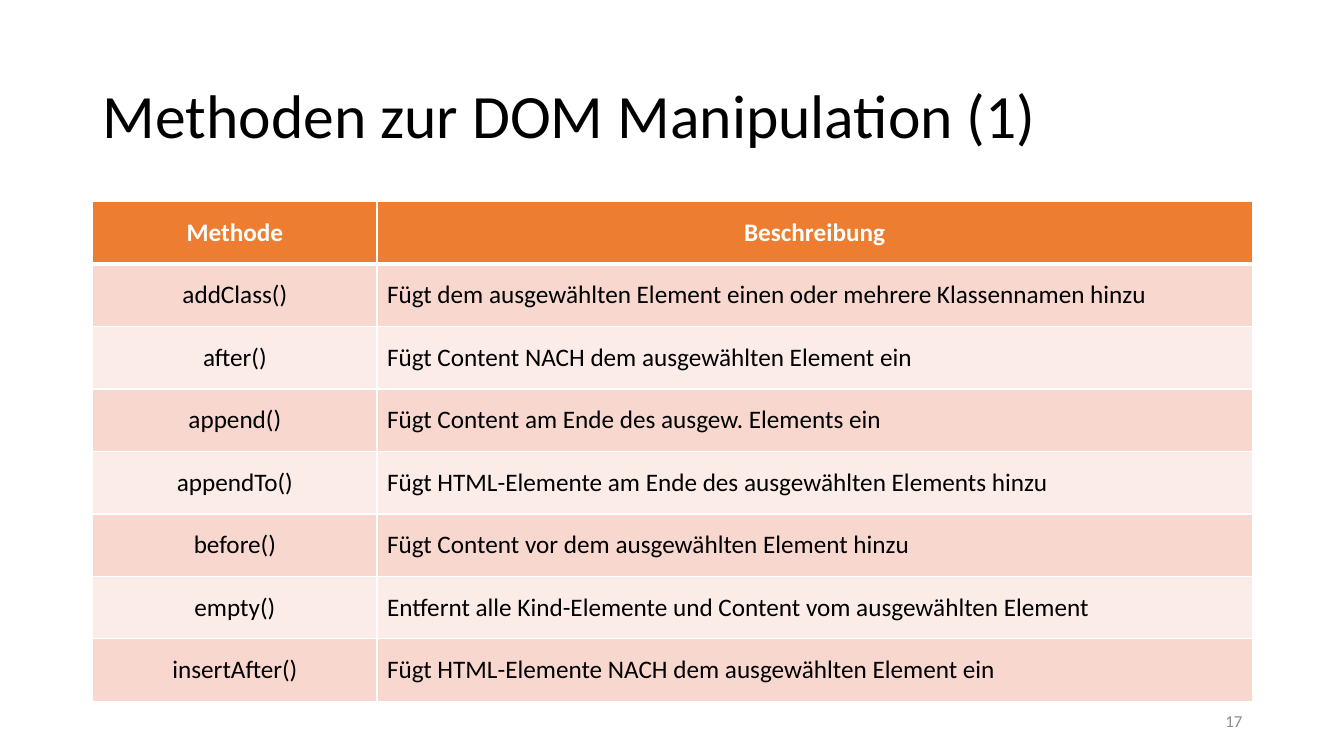
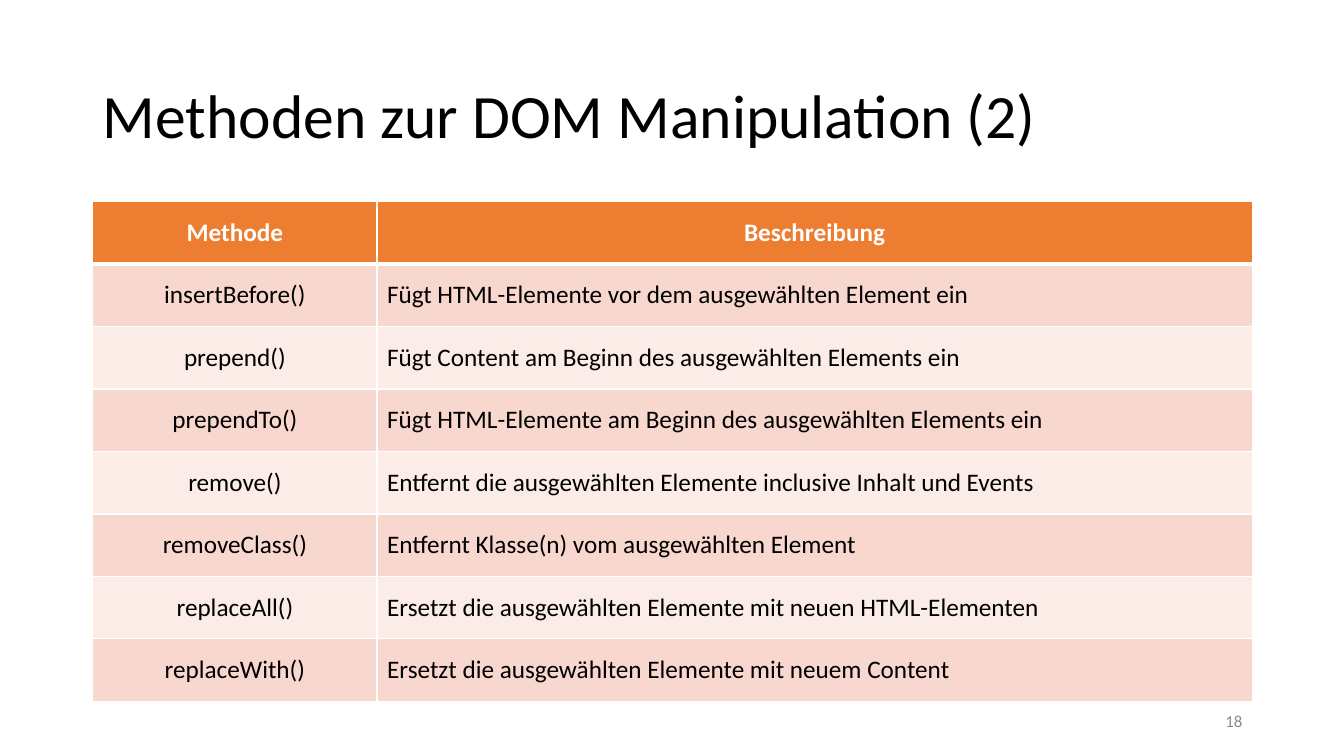
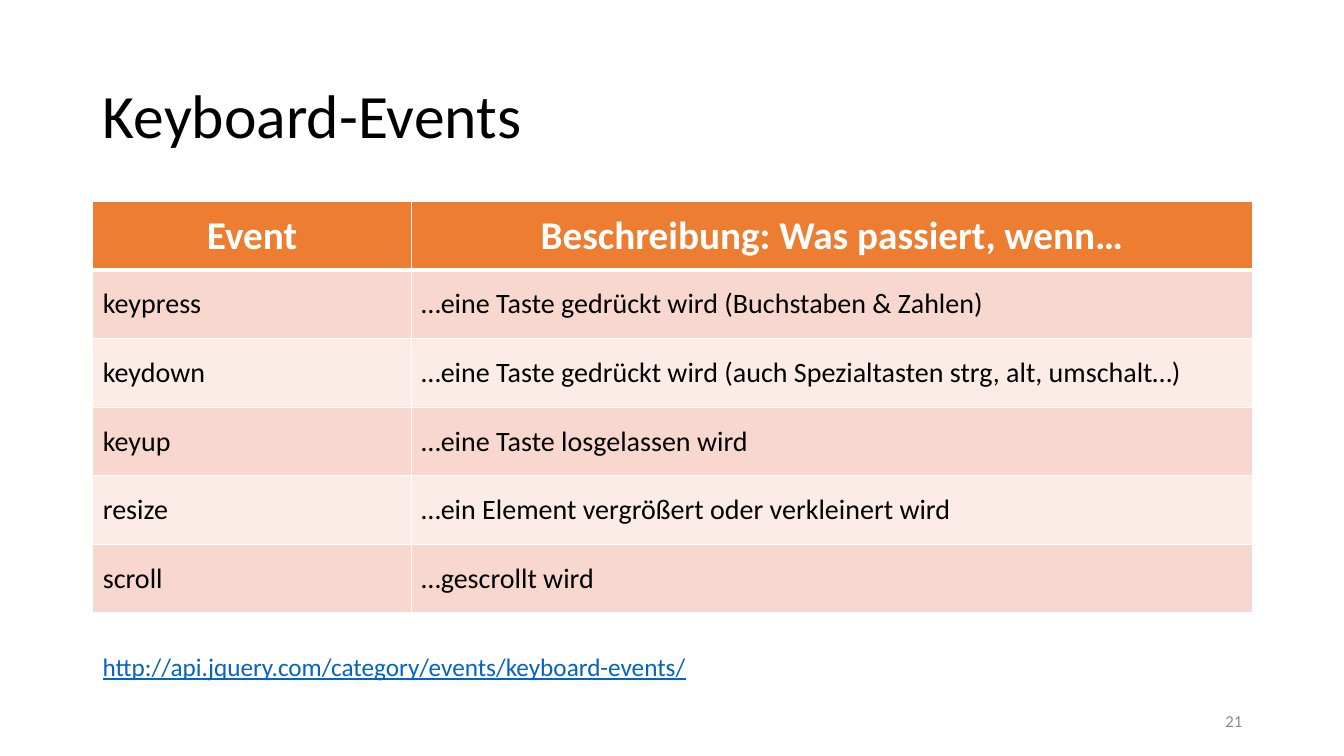
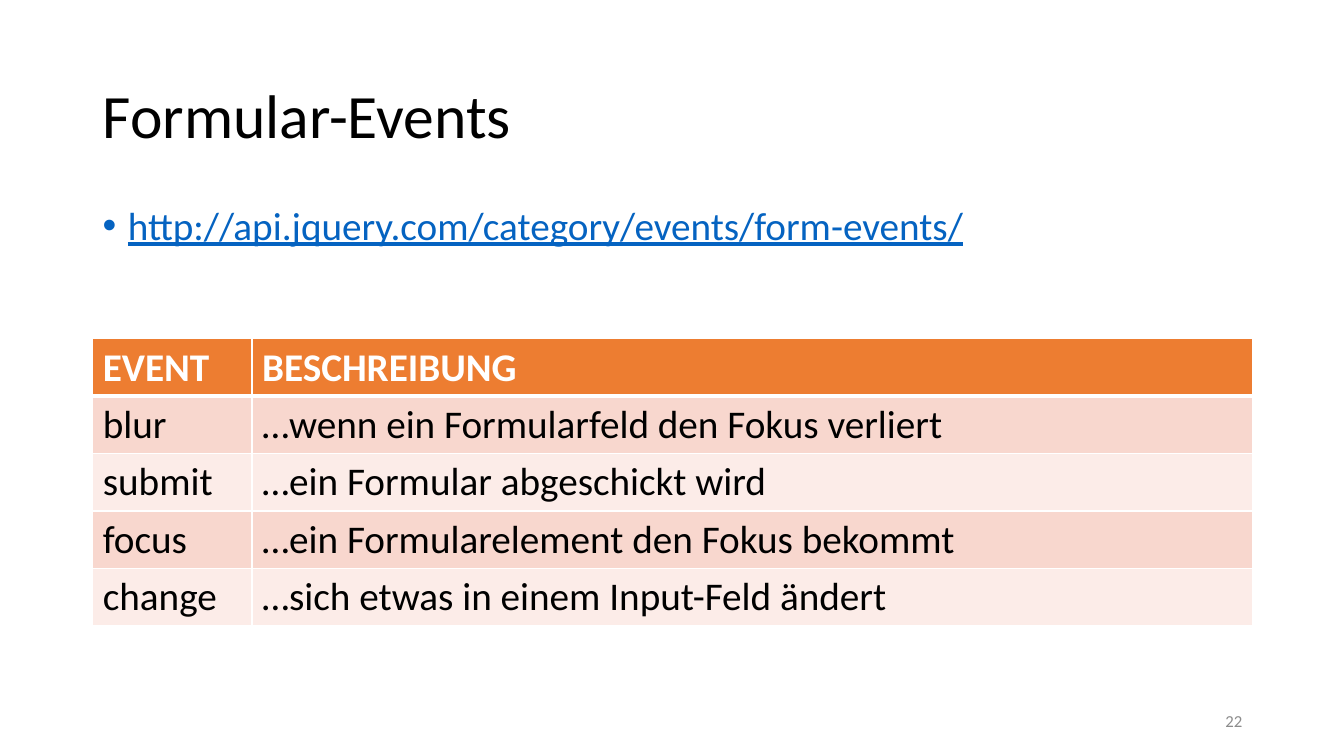
from lxml.etree import SubElement
from pptx import Presentation
from pptx.dml.color import RGBColor
from pptx.enum.text import MSO_ANCHOR as ANCHOR, PP_ALIGN as ALIGN
from pptx.oxml.ns import qn
from pptx.util import Inches, Pt

COLORS = {
    "text": "000000",
    "white": "FFFFFF",
    "header": "ED7D31",
    "band_dark": "F8D7CE",
    "band_light": "FCECE8",
    "link": "0563C1",
    "page_number": "8C8C8C",
}

DOM_METHODS_1 = [
    ("Methode", "Beschreibung"),
    ("addClass()", "Fügt dem ausgewählten Element einen oder mehrere Klassennamen hinzu"),
    ("after()", "Fügt Content NACH dem ausgewählten Element ein"),
    ("append()", "Fügt Content am Ende des ausgew. Elements ein"),
    ("appendTo()", "Fügt HTML-Elemente am Ende des ausgewählten Elements hinzu"),
    ("before()", "Fügt Content vor dem ausgewählten Element hinzu"),
    ("empty()", "Entfernt alle Kind-Elemente und Content vom ausgewählten Element"),
    ("insertAfter()", "Fügt HTML-Elemente NACH dem ausgewählten Element ein"),
]
DOM_METHODS_2 = [
    ("Methode", "Beschreibung"),
    ("insertBefore()", "Fügt HTML-Elemente vor dem ausgewählten Element ein"),
    ("prepend()", "Fügt Content am Beginn des ausgewählten Elements ein"),
    ("prependTo()", "Fügt HTML-Elemente am Beginn des ausgewählten Elements ein"),
    ("remove()", "Entfernt die ausgewählten Elemente inclusive Inhalt und Events"),
    ("removeClass()", "Entfernt Klasse(n) vom ausgewählten Element"),
    ("replaceAll()", "Ersetzt die ausgewählten Elemente mit neuen HTML-Elementen"),
    ("replaceWith()", "Ersetzt die ausgewählten Elemente mit neuem Content"),
]
KEYBOARD_EVENTS = [
    ("Event", "Beschreibung: Was passiert, wenn…"),
    ("keypress", "…eine Taste gedrückt wird (Buchstaben & Zahlen)"),
    ("keydown", "…eine Taste gedrückt wird (auch Spezialtasten strg, alt, umschalt…)"),
    ("keyup", "…eine Taste losgelassen wird"),
    ("resize", "…ein Element vergrößert oder verkleinert wird"),
    ("scroll", "…gescrollt wird"),
]
FORM_EVENTS = [
    ("EVENT", "BESCHREIBUNG"),
    ("blur", "…wenn ein Formularfeld den Fokus verliert"),
    ("submit", "…ein Formular abgeschickt wird"),
    ("focus", "…ein Formularelement den Fokus bekommt"),
    ("change", "…sich etwas in einem Input-Feld ändert"),
]


def color(name):
    return RGBColor.from_string(COLORS[name])


def set_borders(cell, **widths):
    """Draw white cell borders; widths are points by side: L, R, T, B."""
    properties = cell._tc.get_or_add_tcPr()
    for side in "LRTB":
        line = SubElement(properties, qn(f"a:ln{side}"), w=str(Pt(widths.get(side, 1))))
        fill = SubElement(line, qn("a:solidFill"))
        SubElement(fill, qn("a:srgbClr"), val=COLORS["white"])


class Deck:
    FONT = "Calibri"
    LEFT = 0.92
    WIDTH = 11.5
    BODY_TOP = 2

    def __init__(self):
        self.presentation = Presentation()
        self.presentation.slide_width = Inches(13.33)
        self.presentation.slide_height = Inches(7.5)
        self.slide = None

    def add_text(self, frame, text, size, color_name="text", align=ALIGN.LEFT,
                 bold=False, underline=False):
        paragraph = frame.paragraphs[0]
        paragraph.alignment = align
        run = paragraph.add_run()
        run.text = text
        font = run.font
        font.name, font.size = self.FONT, Pt(size)
        font.bold, font.underline = bold, underline
        font.color.rgb = color(color_name)
        return paragraph

    def text_box(self, left, top, width, height, anchor=ANCHOR.TOP):
        box = self.slide.shapes.add_textbox(
            Inches(left), Inches(top), Inches(width), Inches(height))
        frame = box.text_frame
        frame.word_wrap = True
        frame.vertical_anchor = anchor
        return frame

    def add_slide(self, title, number):
        self.slide = self.presentation.slides.add_slide(self.presentation.slide_layouts[5])
        shape = self.slide.shapes.title
        shape.left, shape.top = Inches(self.LEFT), Inches(0.5)
        shape.width, shape.height = Inches(self.WIDTH), Inches(1.35)
        shape.text_frame.vertical_anchor = ANCHOR.MIDDLE
        self.add_text(shape.text_frame, title, 44).line_spacing = 0.9
        page = self.text_box(9.42, 6.95, 3, 0.4, ANCHOR.MIDDLE)
        self.add_text(page, str(number), 12, "page_number", ALIGN.RIGHT)

    def web_address(self, text, top, width, height, size, bullet=False):
        frame = self.text_box(self.LEFT, top, width, height)
        paragraph = self.add_text(frame, text, size, "link", underline=True)
        if bullet:
            paragraph.line_spacing = 0.9
            properties = paragraph._p.get_or_add_pPr()
            properties.set("marL", str(Inches(0.25)))
            properties.set("indent", str(-Inches(0.25)))
            SubElement(properties, qn("a:buFont"), typeface="Arial")
            SubElement(properties, qn("a:buChar"), char="•")

    def table(self, rows, first_width, row_height, size, header_size=None,
              top=BODY_TOP, header_align=ALIGN.CENTER, name_align=ALIGN.LEFT):
        """Add a two-column table with a header row and banded body rows."""
        table = self.slide.shapes.add_table(
            len(rows), 2, Inches(self.LEFT), Inches(top),
            Inches(self.WIDTH), Inches(row_height * len(rows))).table
        table.columns[0].width = Inches(first_width)
        table.columns[1].width = Inches(self.WIDTH - first_width)
        for row_index, texts in enumerate(rows):
            is_header = row_index == 0
            band = "band_dark" if row_index % 2 else "band_light"
            for column_index, text in enumerate(texts):
                cell = table.cell(row_index, column_index)
                cell.vertical_anchor = ANCHOR.MIDDLE
                set_borders(cell, T=3 if row_index == 1 else 1, B=3 if is_header else 1)
                cell.fill.solid()
                cell.fill.fore_color.rgb = color("header" if is_header else band)
                if is_header:
                    self.add_text(cell.text_frame, text, header_size or size, "white",
                                  header_align, bold=True)
                else:
                    align = ALIGN.LEFT if column_index else name_align
                    self.add_text(cell.text_frame, text, size, align=align)


def main():
    deck = Deck()

    for part, rows in enumerate((DOM_METHODS_1, DOM_METHODS_2), start=1):
        deck.add_slide(f"Methoden zur DOM Manipulation ({part})", 16 + part)
        deck.table(rows, 2.82, 0.62, 18, name_align=ALIGN.CENTER)

    deck.add_slide("Keyboard-Events", 21)
    deck.table(KEYBOARD_EVENTS, 3.16, 0.68, 20, header_size=28)
    deck.web_address("http://api.jquery.com/category/events/keyboard-events/",
                     6.41, 7.43, 0.4, 18)

    deck.add_slide("Formular-Events", 22)
    deck.web_address("http://api.jquery.com/category/events/form-events/",
                     deck.BODY_TOP, deck.WIDTH, 1, 28, bullet=True)
    deck.table(FORM_EVENTS, 1.58, 0.57, 28, top=3.36, header_align=ALIGN.LEFT)

    deck.presentation.save("out.pptx")


if __name__ == "__main__":
    main()
